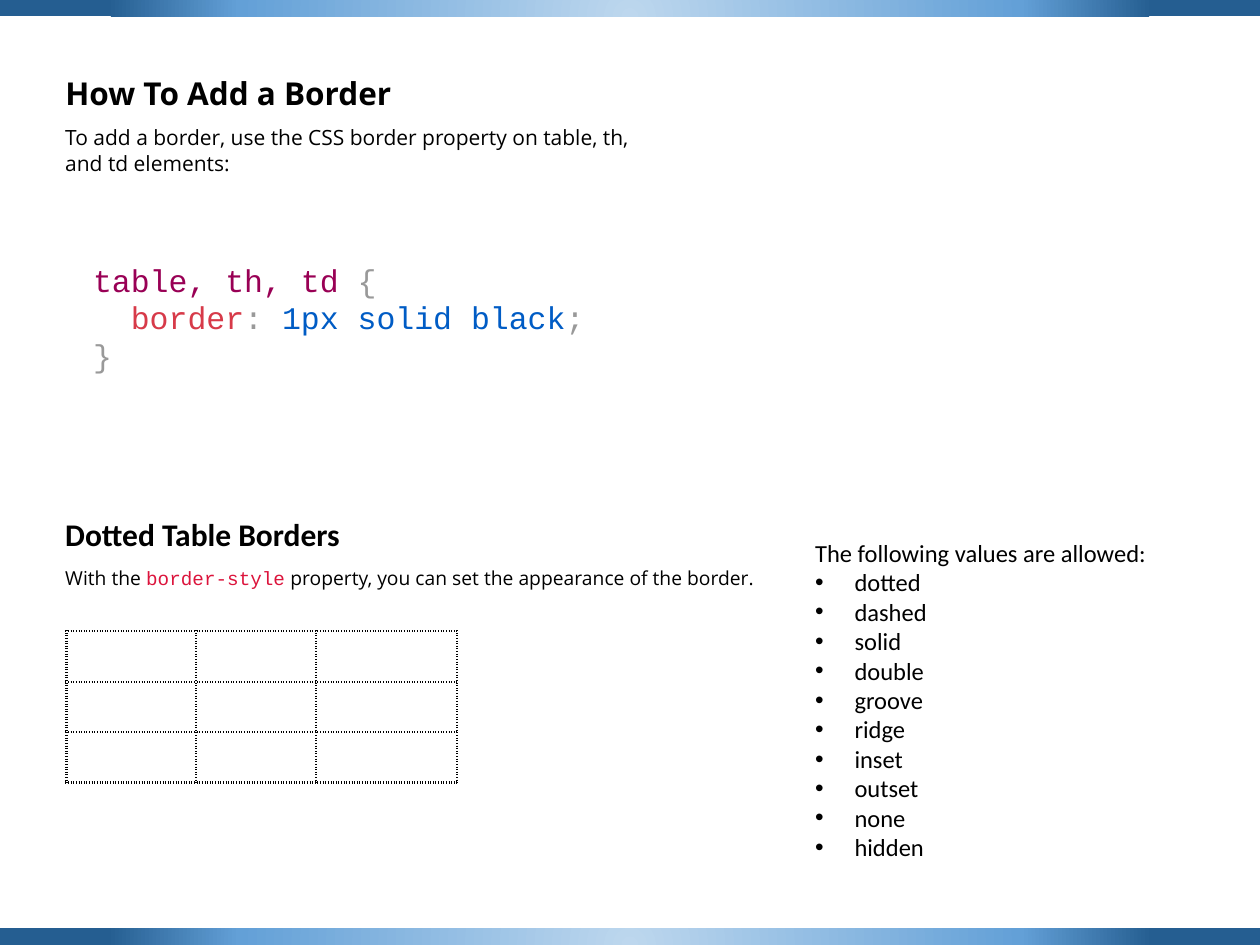
from pptx import Presentation
from pptx.dml.color import RGBColor
from pptx.enum.shapes import MSO_SHAPE
from pptx.enum.text import MSO_ANCHOR, MSO_AUTO_SIZE, PP_ALIGN
from pptx.oxml import parse_xml
from pptx.oxml.ns import nsdecls
from pptx.util import Pt

BLACK = RGBColor(0x00, 0x00, 0x00)
PURPLE = RGBColor(0x99, 0x00, 0x55)
GREY = RGBColor(0x99, 0x99, 0x99)
RED = RGBColor(0xD7, 0x3A, 0x49)
BLUE = RGBColor(0x00, 0x5C, 0xC5)
CRIMSON = RGBColor(0xDC, 0x14, 0x3C)
PALE_BLUE = RGBColor(0xBD, 0xD7, 0xEE)
MID_BLUE = RGBColor(0x63, 0xA0, 0xD7)
DARK_BLUE = RGBColor(0x25, 0x5E, 0x91)

SANS, MONO, BODY = "Open Sans", "Courier New", "Calibri"
WIDTH, HEIGHT, BAR = 720, 540, 9.4
LEFT = 30.2
VALUES = ["dotted", "dashed", "solid", "double", "groove",
          "ridge", "inset", "outset", "none", "hidden"]


def place(sp, x, y, w, h):
    """Set position and size in points."""
    sp.left, sp.top, sp.width, sp.height = Pt(x), Pt(y), Pt(w), Pt(h)


def style(font, name, size, color=BLACK, bold=False):
    """Set the look of a font."""
    font.name, font.size, font.bold = name, Pt(size), bold
    font.color.rgb = color


def indent(p, left, first=0):
    """Set the left and first-line indents of a paragraph."""
    pPr = p._p.get_or_add_pPr()
    pPr.set("marL", str(Pt(left)))
    pPr.set("indent", str(Pt(first)))
    return pPr


def add_bar(s, y):
    """Draw a full-width bar with a radial gradient."""
    sp = s.shapes.add_shape(MSO_SHAPE.RECTANGLE, 0, Pt(y), Pt(WIDTH), Pt(BAR))
    sp.shadow.inherit = False
    sp.line.fill.background()
    stops = "".join(
        f'<a:gs pos="{pos * 1000}"><a:srgbClr val="{color}"/></a:gs>'
        for pos, color in ((0, PALE_BLUE), (62, MID_BLUE), (83, DARK_BLUE)))
    sp._element.spPr.find("{*}prstGeom").addnext(parse_xml(
        f'<a:gradFill {nsdecls("a")} rotWithShape="1"><a:gsLst>{stops}</a:gsLst>'
        '<a:path path="circle"><a:fillToRect l="50000" t="130000" r="50000" b="-30000"/>'
        '</a:path></a:gradFill>'))


def add_text(s, x, y, w, h, lines, size, name=SANS, bold=False, wrap=True):
    """Add a text box; each line is a list of (text, colour, font) runs."""
    tf = s.shapes.add_textbox(Pt(x), Pt(y), Pt(w), Pt(h)).text_frame
    tf.word_wrap = wrap
    for i, runs in enumerate(lines):
        p = tf.paragraphs[0] if i == 0 else tf.add_paragraph()
        style(p.font, name, size, bold=bold)
        for text, color, font in runs:
            r = p.add_run()
            r.text = text
            style(r.font, font, size, color, bold)
    return tf


def fill_title(s, text):
    """Place the slide title at the top left."""
    sp = s.shapes.title
    place(sp, LEFT, 38.9, 360, 30)
    tf = sp.text_frame
    tf.text = text
    tf.auto_size = MSO_AUTO_SIZE.NONE
    tf.vertical_anchor = MSO_ANCHOR.TOP
    p = tf.paragraphs[0]
    p.alignment = PP_ALIGN.LEFT
    style(p.font, SANS, 18, bold=True)


def fill_list(s, heading, items):
    """Fill the body placeholder with a heading and bulleted items."""
    sp = s.placeholders[1]
    place(sp, 458.6, 303.8, 250, 200)
    tf = sp.text_frame
    tf.text = "\n".join([heading] + items)
    tf.auto_size = MSO_AUTO_SIZE.NONE
    for i, p in enumerate(tf.paragraphs):
        p.space_before = Pt(0)
        style(p.font, BODY, 14)
        if i:
            indent(p, 22.5, -22.5)
        else:
            pPr = indent(p, 0)
            pPr.find("{*}spcBef").addnext(parse_xml(f'<a:buNone {nsdecls("a")}/>'))


def add_dotted_table(s, x, y, widths, row_height, rows):
    """Add an empty table with dotted cell borders."""
    table = s.shapes.add_table(rows, len(widths), Pt(x), Pt(y),
                               Pt(sum(widths)), Pt(row_height * rows)).table
    table.first_row = table.horz_banding = False
    for column, width in zip(table.columns, widths):
        column.width = Pt(width)
    for cell in table.iter_cells():
        cell.fill.background()
        tcPr = cell._tc.get_or_add_tcPr()
        for i, side in enumerate("LRTB"):
            tcPr.insert(i, parse_xml(
                f'<a:ln{side} {nsdecls("a")} w="{Pt(1.5)}"><a:solidFill>'
                f'<a:srgbClr val="{BLACK}"/></a:solidFill>'
                f'<a:prstDash val="sysDot"/></a:ln{side}>'))


def main():
    """Build the slide and save it."""
    prs = Presentation()
    prs.slide_width, prs.slide_height = Pt(WIDTH), Pt(HEIGHT)
    s = prs.slides.add_slide(prs.slide_layouts[1])
    for y in (0, HEIGHT - BAR):
        add_bar(s, y)

    fill_title(s, "How To Add a Border")
    intro = "To add a border, use the CSS border property on table, th, and td elements:"
    add_text(s, LEFT, 67.8, 345, 38, [[(intro, BLACK, SANS)]], 12)

    code = [[("table, th, td ", PURPLE, MONO), ("{", GREY, MONO)],
            [("border", RED, MONO), (":", GREY, MONO),
             (" 1px solid black", BLUE, MONO), (";", GREY, MONO)],
            [("}", GREY, MONO)]]
    tf = add_text(s, 46.1, 145.4, 360, 72.7, code, 18, MONO)
    indent(tf.paragraphs[1], 21.6)

    add_text(s, LEFT, 290.9, 360, 28.8,
             [[("Dotted Table Borders", BLACK, BODY)]], 18, BODY, bold=True)
    add_text(s, LEFT, 320, 410, 22,
             [[("With the ", BLACK, SANS), ("border-style", CRIMSON, MONO),
               (" property, you can set the appearance of the border.", BLACK, SANS)]],
             11, wrap=False)
    add_dotted_table(s, 38, 360.7, (74.2, 68.4, 80.6), 28.8, 3)

    fill_list(s, "The following values are allowed:", VALUES)
    prs.save("out.pptx")


if __name__ == "__main__":
    main()
